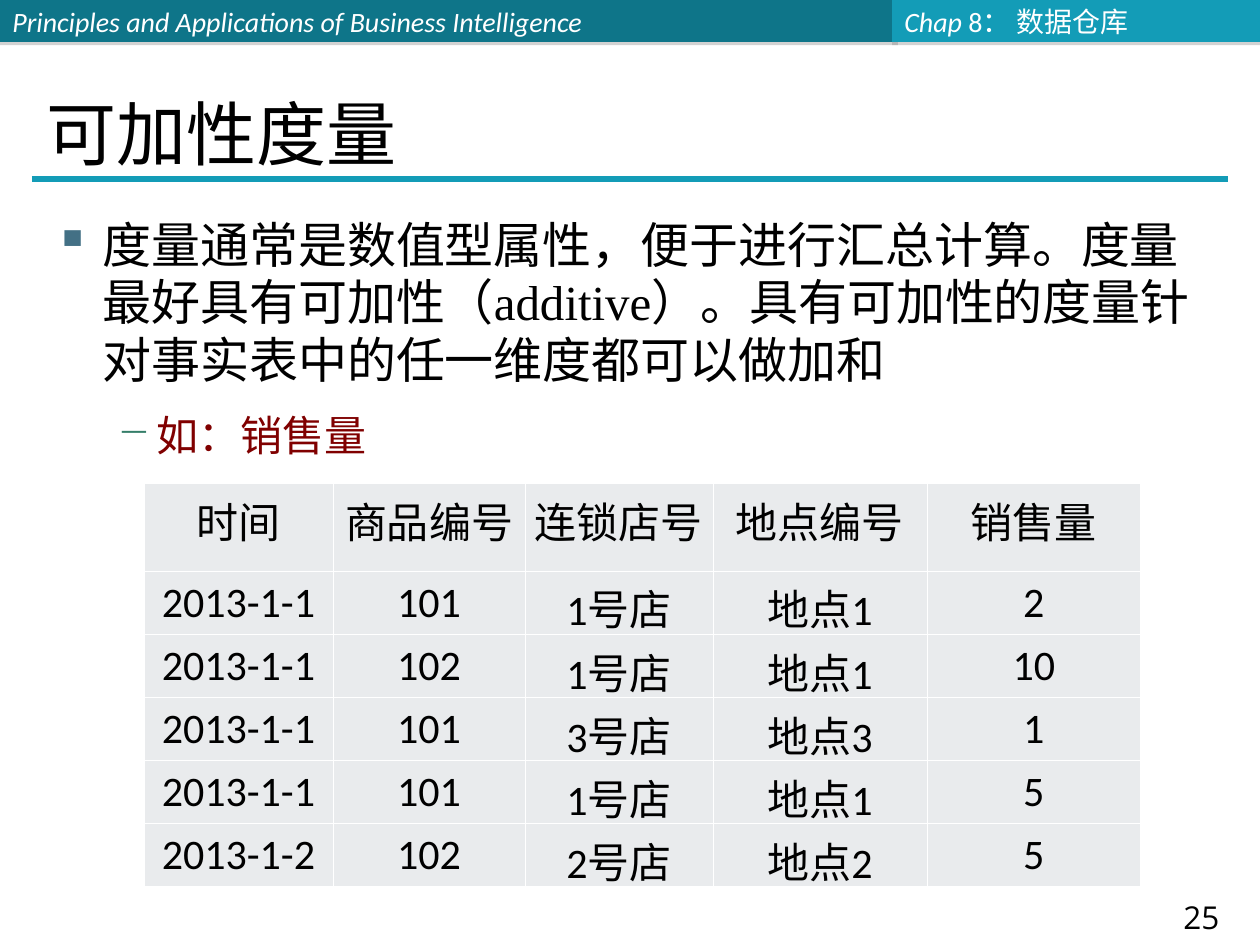
import dataclasses

import lxml.etree
import pptx
import pptx.dml.color
import pptx.enum.shapes
import pptx.enum.text
import pptx.oxml
import pptx.oxml.ns
import pptx.util

ALIGN = pptx.enum.text.PP_ALIGN
ANCHOR = pptx.enum.text.MSO_ANCHOR
DRAWING = pptx.oxml.ns.nsdecls("a")


@dataclasses.dataclass(frozen=True)
class Theme:
    dark_teal: str = "0E7589"
    teal: str = "139CB7"
    white: str = "FFFFFF"
    black: str = "000000"
    maroon: str = "800000"
    square_bullet: str = "437085"
    dash_bullet: str = "357E69"
    cell: str = "E9EBED"
    shadow: str = "808080"
    sans: str = "Calibri"
    serif: str = "Times New Roman"
    number: str = "Open Sans"
    chinese: str = "Noto Sans CJK SC"
    header_size: int = 16
    number_size: int = 18
    table_size: int = 24
    detail_size: int = 24
    body_size: int = 28
    title_size: int = 40


THEME = Theme()


def px(length):
    return pptx.util.Emu(round(length * 914400 / 126))


def rgb(color):
    return pptx.dml.color.RGBColor.from_string(color)


def format_run(run, size, name, color, italic=False):
    run.font.size = pptx.util.Pt(size)
    run.font.name = name
    run.font.italic = italic
    run.font.color.rgb = rgb(color)
    east_asian = lxml.etree.SubElement(run.font._element, pptx.oxml.ns.qn("a:ea"))
    east_asian.set("typeface", THEME.chinese)


def format_paragraph(paragraph, size, name, color):
    for run in paragraph.runs:
        format_run(run, size, name, color)


def add_text_box(slide, box):
    shape = slide.shapes.add_textbox(*map(px, box))
    shape.text_frame.word_wrap = True
    return shape.text_frame


def add_header_bar(slide, box, color, pieces):
    shape = slide.shapes.add_shape(
        pptx.enum.shapes.MSO_SHAPE.RECTANGLE, *map(px, box))
    shape.fill.solid()
    shape.fill.fore_color.rgb = rgb(color)
    shape.line.fill.background()
    shape.shadow.inherit = False
    effects = shape._element.spPr.find(pptx.oxml.ns.qn("a:effectLst"))
    effects.append(pptx.oxml.parse_xml(
        f'<a:outerShdw {DRAWING} blurRad="0" dist="22860" dir="5400000">'
        f'<a:srgbClr val="{THEME.shadow}"><a:alpha val="35000"/></a:srgbClr>'
        '</a:outerShdw>'))
    frame = shape.text_frame
    frame.word_wrap = True
    frame.vertical_anchor = ANCHOR.MIDDLE
    paragraph = frame.paragraphs[0]
    paragraph.alignment = ALIGN.LEFT
    for text, italic in pieces:
        run = paragraph.add_run()
        run.text = text
        format_run(run, THEME.header_size, THEME.sans, THEME.white, italic)


def add_title(slide, box, text):
    left, top, width, height = box
    frame = add_text_box(slide, box)
    frame.vertical_anchor = ANCHOR.BOTTOM
    frame.margin_bottom = 0
    frame.text = text
    format_paragraph(frame.paragraphs[0], THEME.title_size, THEME.chinese, THEME.black)
    rule_y = px(top + height + 4)
    rule = slide.shapes.add_connector(
        pptx.enum.shapes.MSO_CONNECTOR.STRAIGHT,
        px(left - 2), rule_y, px(left + width + 18), rule_y)
    rule.line.color.rgb = rgb(THEME.teal)
    rule.line.width = pptx.util.Pt(3)
    lxml.etree.SubElement(rule._element.spPr, pptx.oxml.ns.qn("a:effectLst"))


def add_bullet(paragraph, character, color, margin, hanging):
    properties = paragraph._p.get_or_add_pPr()
    properties.set("marL", str(px(margin)))
    properties.set("indent", str(-px(hanging)))
    for xml in (f'<a:buClr {DRAWING}><a:srgbClr val="{color}"/></a:buClr>',
                f'<a:buChar {DRAWING} char="{character}"/>'):
        properties.append(pptx.oxml.parse_xml(xml))


def add_body(slide, box, statement, example):
    frame = add_text_box(slide, box)
    frame.text = statement
    first = frame.paragraphs[0]
    add_bullet(first, "▪", THEME.square_bullet, 48, 48)
    first.line_spacing = pptx.util.Pt(33)
    format_paragraph(first, THEME.body_size, THEME.serif, THEME.black)
    second = frame.add_paragraph()
    second.text = example
    second.level = 1
    add_bullet(second, "−", THEME.dash_bullet, 102, 39)
    second.line_spacing = pptx.util.Pt(29)
    second.space_before = pptx.util.Pt(12)
    format_paragraph(second, THEME.detail_size, THEME.serif, THEME.maroon)


def format_cell(cell, text, side_margin):
    cell.fill.solid()
    cell.fill.fore_color.rgb = rgb(THEME.cell)
    cell.margin_left = cell.margin_right = px(side_margin)
    cell.text = text
    paragraph = cell.text_frame.paragraphs[0]
    paragraph.alignment = ALIGN.CENTER
    format_paragraph(paragraph, THEME.table_size, THEME.sans, THEME.black)
    properties = cell._tc.get_or_add_tcPr()
    for index, side in enumerate("LRTB"):
        properties.insert(index, pptx.oxml.parse_xml(
            f'<a:ln{side} {DRAWING} w="5715"><a:solidFill>'
            f'<a:srgbClr val="{THEME.white}"/></a:solidFill></a:ln{side}>'))


def add_sales_table(slide, left, top, rows):
    widths = [189, 192, 188, 214, 214]
    heights = [88] + [63] * (len(rows) - 1)
    side_margins = [5, 5, 5, 13, 5]
    table = slide.shapes.add_table(
        len(rows), len(widths), px(left), px(top),
        px(sum(widths)), px(sum(heights))).table
    table.first_row = False
    table.horz_banding = False
    for column, width in zip(table.columns, widths):
        column.width = px(width)
    for row, height, texts in zip(table.rows, heights, rows):
        row.height = px(height)
        for cell, text, side_margin in zip(row.cells, texts, side_margins):
            format_cell(cell, text, side_margin)


def add_page_number(slide, box, number):
    frame = add_text_box(slide, box)
    frame.text = number
    paragraph = frame.paragraphs[0]
    paragraph.alignment = ALIGN.CENTER
    paragraph.line_spacing = pptx.util.Pt(20)
    format_paragraph(paragraph, THEME.number_size, THEME.number, THEME.black)


def main():
    presentation = pptx.Presentation()
    presentation.slide_width = px(1260)
    presentation.slide_height = px(945)
    slide = presentation.slides.add_slide(presentation.slide_layouts[6])
    add_header_bar(slide, (0, 0, 898, 42), THEME.dark_teal,
                   [("Principles and Applications of Business Intelligence", True)])
    add_header_bar(slide, (892, 0, 370, 42), THEME.teal,
                   [("Chap ", True), ("8： 数据仓库", False)])
    add_page_number(slide, (1138, 895, 127, 48), "25")
    add_title(slide, (34, 62, 1176, 113), "可加性度量")
    add_body(slide, (42, 209, 1176, 663),
             "度量通常是数值型属性，便于进行汇总计算。度量最好具有可加性（additive）。"
             "具有可加性的度量针对事实表中的任一维度都可以做加和",
             "如：销售量")
    add_sales_table(slide, 144, 483, [
        ["时间", "商品编号", "连锁店号", "地点编号", "销售量"],
        ["2013-1-1", "101", "1号店", "地点1", "2"],
        ["2013-1-1", "102", "1号店", "地点1", "10"],
        ["2013-1-1", "101", "3号店", "地点3", "1"],
        ["2013-1-1", "101", "1号店", "地点1", "5"],
        ["2013-1-2", "102", "2号店", "地点2", "5"],
    ])
    presentation.save("out.pptx")


if __name__ == "__main__":
    main()
